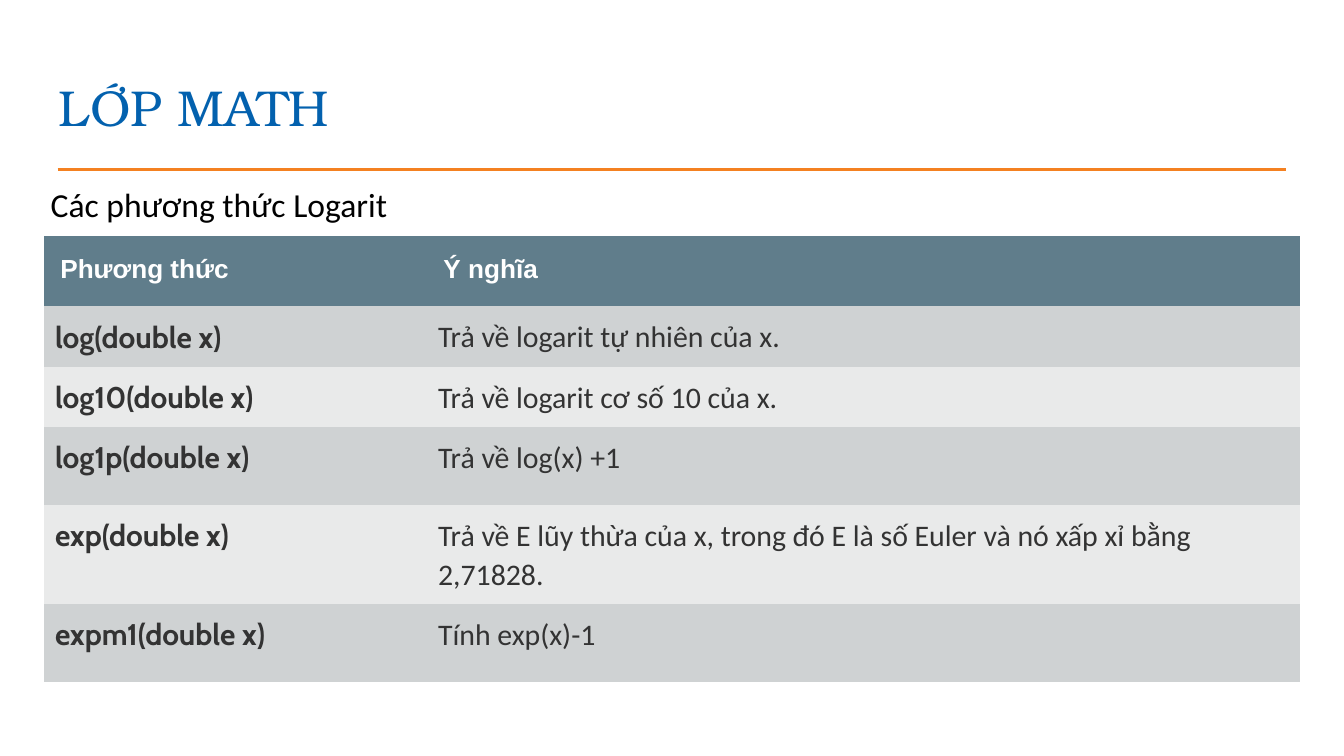
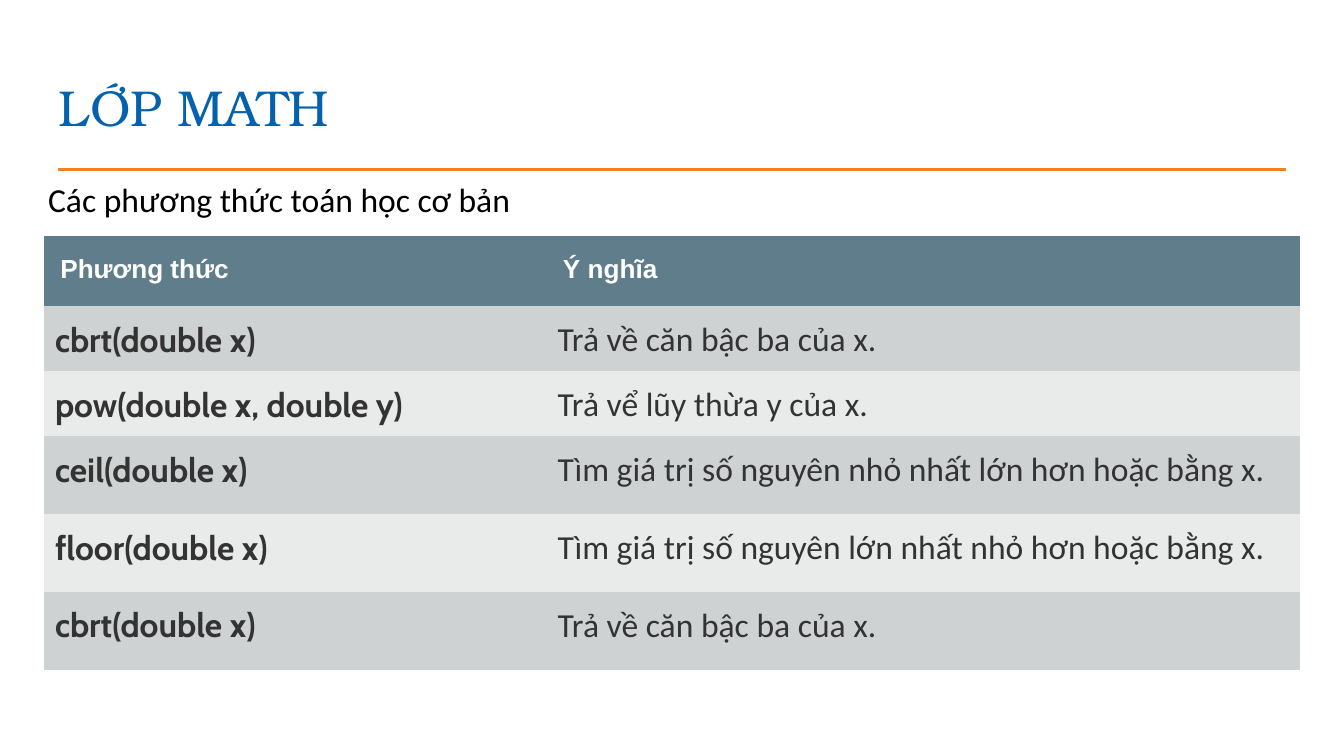
from collections import namedtuple
from dataclasses import dataclass

from lxml.etree import SubElement
from pptx import Presentation
from pptx.dml.color import RGBColor as Rgb
from pptx.enum.shapes import MSO_CONNECTOR as Connector, MSO_SHAPE as Preset
from pptx.enum.text import MSO_ANCHOR as Anchor, MSO_AUTO_SIZE as AutoSize, PP_ALIGN as Align
from pptx.oxml.ns import qn
from pptx.util import Cm, Pt

Box = namedtuple("Box", "left top width height")


@dataclass(frozen=True)
class Theme:
    title_color: str = "0361AE"
    rule_color: str = "F48121"
    header_fill: str = "607D8B"
    band_fills: tuple = ("CFD2D3", "E9EAEA")
    cell_color: str = "333333"
    black: str = "000000"
    white: str = "FFFFFF"
    title_font: str = "TeX Gyre Bonum"
    header_font: str = "Arial"
    method_font: str = "Cabin"
    body_font: str = "Calibri"
    title_size: int = 27
    caption_size: int = 18
    header_size: int = 14
    rule_width: float = 1.5
    line_spacing: float = 1.07
    space_after: int = 8


THEME = Theme()
PAGE_WIDTH, PAGE_HEIGHT = 25.4, 14.29
TITLE_BOX = Box(0.86, 1.24, 23.67, 1.6)
RULE_BOX = Box(1.09, 3.2, 23.22, 0)
TABLE_LEFT, TABLE_TOP, TABLE_WIDTH = 0.84, 4.47, 23.72
ROW_HEIGHTS = (1.32, 1.09, 1.09, 1.47, 1.47, 1.47)
PLAIN_TABLE_STYLE = "{2D5ABB26-0587-4C30-8999-92F81FD0307C}"
HEADER = ("Phương thức", "Ý nghĩa")

PAGES = (
    dict(
        title="LỚP MATH",
        caption="Các phương thức Logarit",
        caption_box=Box(0.71, 3.35, 6.96, 1.02),
        method_width=7.24,
        size=16,
        methods=(
            ("log(double x)", "Trả về logarit tự nhiên của x."),
            ("log10(double x)", "Trả về logarit cơ số 10 của x."),
            ("log1p(double x)", "Trả về log(x) +1"),
            ("exp(double x)", "Trả về E lũy thừa của x, trong đó E là số Euler "
                              "và nó xấp xỉ bằng 2,71828."),
            ("expm1(double x)", "Tính exp(x)-1"),
        ),
    ),
    dict(
        title="LỚP MATH",
        caption="Các phương thức toán học cơ bản",
        caption_box=Box(0.66, 3.25, 9.37, 1.02),
        method_width=9.5,
        size=18,
        methods=(
            ("cbrt(double x)", "Trả về căn bậc ba của x."),
            ("pow(double x, double y)", "Trả vể lũy thừa y của x."),
            ("ceil(double x)", "Tìm giá trị số nguyên nhỏ nhất lớn hơn hoặc bằng x."),
            ("floor(double x)", "Tìm giá trị số nguyên lớn nhất nhỏ hơn hoặc bằng x."),
            ("cbrt(double x)", "Trả về căn bậc ba của x."),
        ),
    ),
)


def in_cm(box):
    return [Cm(length) for length in box]


def paint(fill, color):
    fill.solid()
    fill.fore_color.rgb = Rgb.from_string(color)


def set_margins(holder, margin):
    holder.margin_left = holder.margin_right = Cm(margin)
    holder.margin_top = holder.margin_bottom = Cm(margin)


def write(frame, text, *, font, size, color, bold=False, align=Align.LEFT,
          spacing=None, after=None):
    """Put one formatted paragraph into a text frame."""
    para = frame.paragraphs[0]
    para.alignment = align
    if spacing:
        para.line_spacing = spacing
    if after is not None:
        para.space_after = Pt(after)
    span = para.add_run()
    span.text = text
    span.font.name = font
    span.font.size = Pt(size)
    span.font.bold = bold
    span.font.color.rgb = Rgb.from_string(color)


def style_layout(layout, first_page):
    """Give the layout its title box and the rule below it."""
    title = next(holder for holder in layout.placeholders
                 if holder.placeholder_format.idx == 0)
    title.left, title.top, title.width, title.height = in_cm(TITLE_BOX)
    frame = title.text_frame
    frame.vertical_anchor = Anchor.BOTTOM
    frame.auto_size = AutoSize.NONE
    set_margins(frame, 0.25)

    left, top, width, height = in_cm(RULE_BOX)
    rule = first_page.shapes.add_connector(
        Connector.STRAIGHT, left, top, left + width, top + height)
    rule.line.color.rgb = Rgb.from_string(THEME.rule_color)
    rule.line.width = Pt(THEME.rule_width)
    SubElement(rule.element.spPr, qn("a:effectLst"))
    next(rule.element.iter(qn("p:cNvPr"))).set("id", "20")
    layout.shapes.element.append(rule.element)


def add_title(page, text):
    write(page.shapes.title.text_frame, text, font=THEME.title_font,
          size=THEME.title_size, color=THEME.title_color)


def add_caption(page, box, text):
    caption = page.shapes.add_shape(Preset.RECTANGLE, *in_cm(box))
    caption.shadow.inherit = False
    paint(caption.fill, THEME.white)
    caption.line.fill.background()
    frame = caption.text_frame
    frame.word_wrap = False
    frame.auto_size = AutoSize.SHAPE_TO_FIT_TEXT
    frame.vertical_anchor = Anchor.MIDDLE
    write(frame, text, font=THEME.body_font, size=THEME.caption_size,
          color=THEME.black, align=Align.JUSTIFY)


def fill_cell(cell, text, fill, margin, **text_format):
    paint(cell.fill, fill)
    set_margins(cell, margin)
    write(cell.text_frame, text, spacing=THEME.line_spacing, **text_format)


def add_method_table(page, box, method_width, size, methods):
    holder = page.shapes.add_table(len(methods) + 1, len(HEADER), *in_cm(box))
    next(holder.element.iter(qn("a:tableStyleId"))).text = PLAIN_TABLE_STYLE
    table = holder.table
    for column, width in zip(table.columns, (method_width, box.width - method_width)):
        column.width = Cm(width)
    for row, height in zip(table.rows, ROW_HEIGHTS):
        row.height = Cm(height)

    for column, text in enumerate(HEADER):
        fill_cell(table.cell(0, column), text, THEME.header_fill, 0.3,
                  font=THEME.header_font, size=THEME.header_size,
                  color=THEME.white, bold=True)
    for row, (method, meaning) in enumerate(methods, start=1):
        band = THEME.band_fills[(row - 1) % 2]
        fill_cell(table.cell(row, 0), method, band, 0.2, font=THEME.method_font,
                  size=size, color=THEME.cell_color, bold=True, align=Align.JUSTIFY)
        fill_cell(table.cell(row, 1), meaning, band, 0.2, font=THEME.body_font,
                  size=size, color=THEME.cell_color, after=THEME.space_after)


def fill_page(page, title, caption, caption_box, method_width, size, methods):
    add_title(page, title)
    table_box = Box(TABLE_LEFT, TABLE_TOP, TABLE_WIDTH, sum(ROW_HEIGHTS))
    add_method_table(page, table_box, method_width, size, methods)
    add_caption(page, caption_box, caption)


def main():
    deck = Presentation()
    deck.slide_width, deck.slide_height = Cm(PAGE_WIDTH), Cm(PAGE_HEIGHT)
    layout = deck.slide_layouts.get_by_name("Title Only")
    pages = [deck.slides.add_slide(layout) for _ in PAGES]
    style_layout(layout, pages[0])
    for page, content in zip(pages, PAGES):
        fill_page(page, **content)
    deck.save("out.pptx")


if __name__ == "__main__":
    main()
